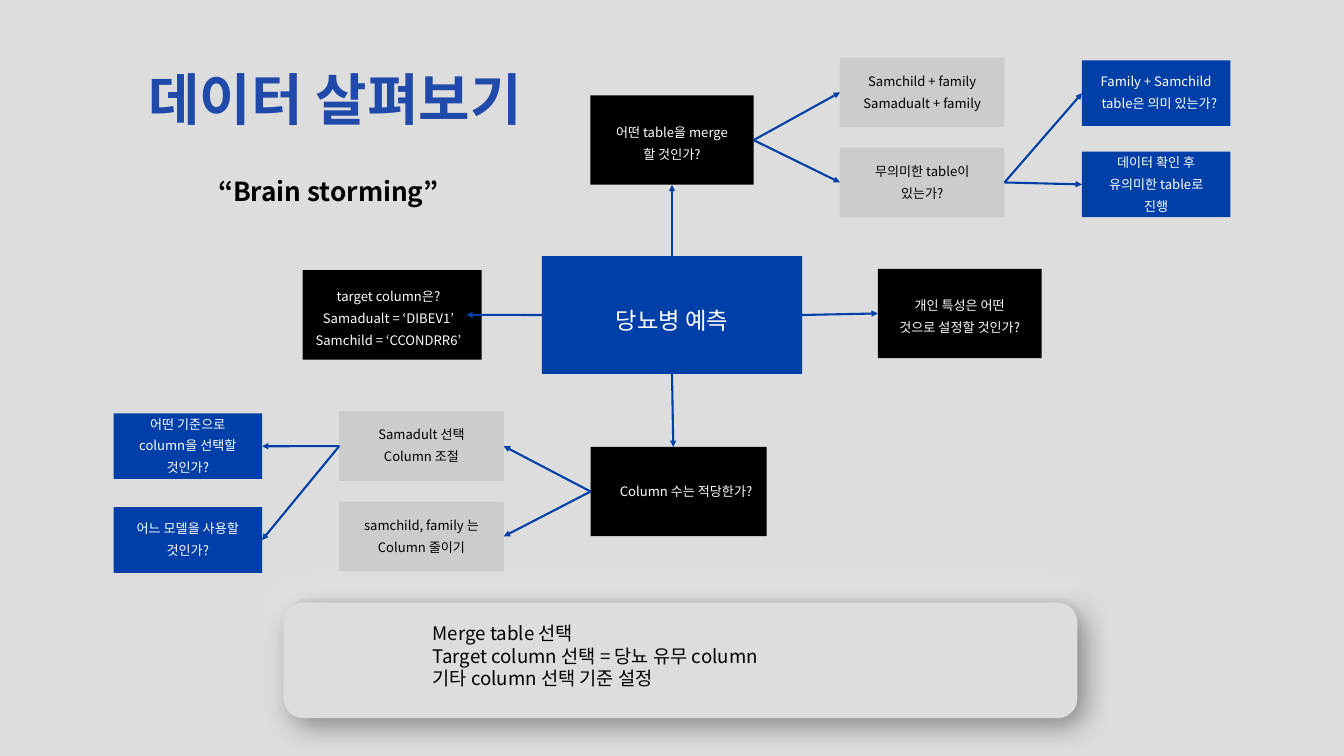
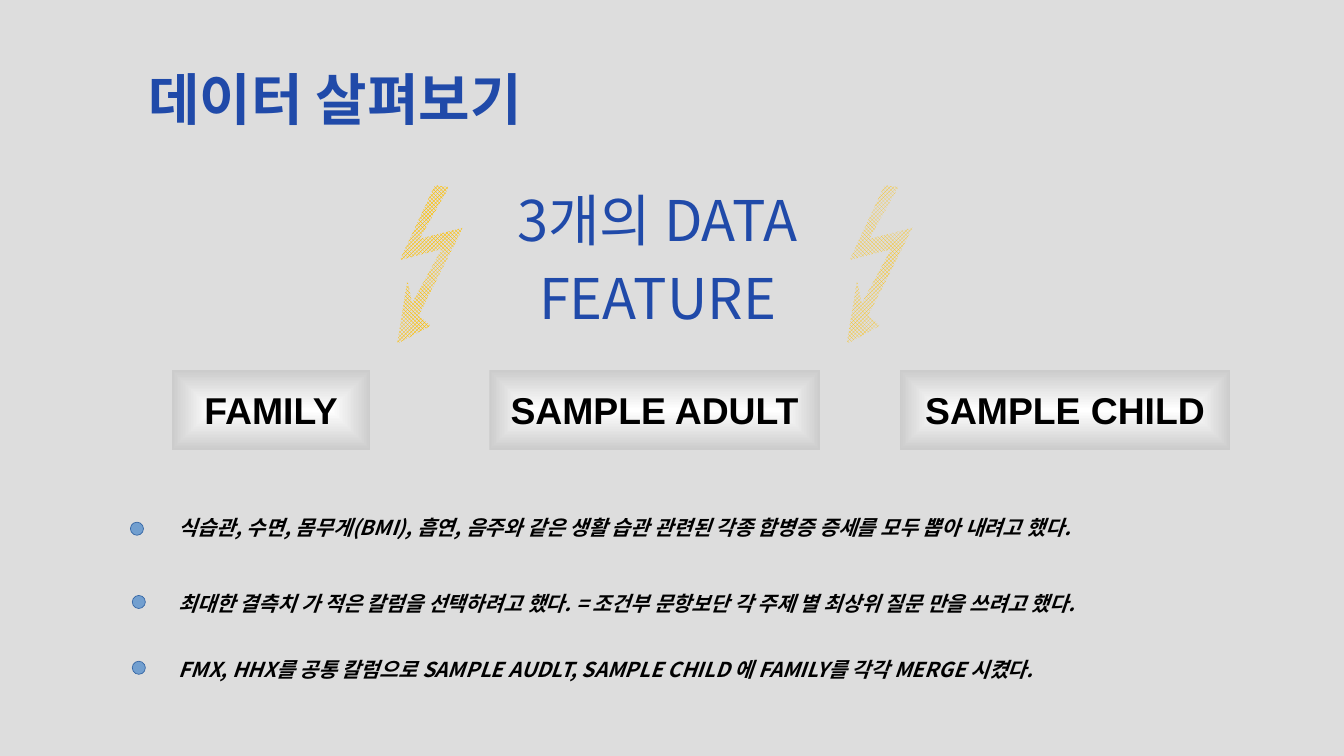
from dataclasses import dataclass
from typing import Optional

import lxml.etree
import pptx
import pptx.dml.color
import pptx.enum.dml
import pptx.enum.shapes
import pptx.enum.text
import pptx.oxml.ns
import pptx.util

Pt = pptx.util.Pt
qn = pptx.oxml.ns.qn
Align = pptx.enum.text.PP_ALIGN
Anchor = pptx.enum.text.MSO_ANCHOR
Preset = pptx.enum.shapes.MSO_SHAPE

COLORS = {
    "page": "DDDDDD", "title": "204AA9", "blue": "003EA8", "black": "000000",
    "white": "FFFFFF", "gray": "CCCCCC", "bolt": "FFBF00",
    "dot": "729FCF", "dot_edge": "3465A4",
}
FONT = "Noto Sans CJK KR"
TITLE = "데이터 살펴보기 "
NO_PADS = (0, 0, 0, 0)
TEXT_PADS = (7.2, 3.6, 7.2, 3.6)
BOX_PADS = (20, 20, 20, 20)
LIFTED_PADS = (20, 20, 20, 27.75)
TOP, LEFT, BOTTOM, RIGHT = range(4)


@dataclass(frozen=True)
class Style:
    fill: str
    ink: str
    height: float
    pads: tuple = BOX_PADS
    size: float = 14
    font: str = FONT


@dataclass(frozen=True)
class Node:
    name: str
    style: Style
    left: float
    top: float
    width: float
    text: str
    pads: Optional[tuple] = None


@dataclass(frozen=True)
class Link:
    start: str
    start_side: int
    end: str
    end_side: int
    shift: float = 0


@dataclass(frozen=True)
class Feature:
    left: float
    width: float
    text: str


@dataclass(frozen=True)
class Finding:
    dot_left: float
    dot_top: float
    text_top: float
    text: str


HUB = Style("blue", "white", 126, size=25, font="Calibri")
QUESTION = Style("black", "white", 95.75)
ANSWER = Style("gray", "black", 74.5, LIFTED_PADS)
OUTCOME = Style("blue", "white", 70.25, LIFTED_PADS)

NODES = [
    Node("hub", HUB, 580.5, 274.5, 279, "당뇨병 예측"),
    Node("traits", QUESTION, 940.5, 288, 175.5, "개인 특성은 어떤 것으로 설정할 것인가?"),
    Node("columns", QUESTION, 632.75, 478.75, 188.75, "Column 수는 적당한가?",
         pads=(19, 20, 3, 27)),
    Node("merge", QUESTION, 632.5, 102.25, 175, "어떤 table을 merge 할 것인가?"),
    Node("target", QUESTION, 324.25, 289.5, 191.75,
         "target column은?\nSamadualt = ‘DIBEV1’\nSamchild = ‘CCONDRR6’",
         pads=(12.25, 20, 20, 20)),
    Node("pairs", ANSWER, 900, 61.75, 176.25, "Samchild + family\nSamadualt + family"),
    Node("useless", ANSWER, 900, 158.25, 176.25, "무의미한 table이 있는가?"),
    Node("proceed", OUTCOME, 1159.25, 162.5, 159, "데이터 확인 후\v유의미한 table로 진행"),
    Node("meaning", OUTCOME, 1159.25, 64.75, 159, "Family + Samchild table은 의미 있는가?"),
    Node("model", OUTCOME, 121.75, 543.5, 159, "어느 모델을 사용할 것인가?"),
    Node("criteria", OUTCOME, 121.75, 443, 159, "어떤 기준으로 column을 선택할 것인가?"),
    Node("adjust", ANSWER, 363.5, 440.75, 176.25, "Samadult 선택\nColumn 조절"),
    Node("reduce", ANSWER, 363.5, 537.5, 176.25, "samchild, family 는\nColumn 줄이기"),
]
LINKS = [
    Link("hub", RIGHT, "traits", LEFT),
    Link("hub", LEFT, "target", RIGHT, shift=-16.25),
    Link("hub", TOP, "merge", BOTTOM),
    Link("hub", BOTTOM, "columns", TOP, shift=-5.75),
    Link("merge", RIGHT, "pairs", LEFT),
    Link("merge", RIGHT, "useless", LEFT),
    Link("useless", RIGHT, "proceed", LEFT),
    Link("useless", RIGHT, "meaning", LEFT),
    Link("adjust", LEFT, "model", RIGHT),
    Link("adjust", LEFT, "criteria", RIGHT),
    Link("columns", LEFT, "adjust", RIGHT),
    Link("columns", LEFT, "reduce", RIGHT),
]
FEATURES = [
    Feature(184.25, 212.5, "FAMILY"),
    Feature(524.25, 354.25, "SAMPLE ADULT"),
    Feature(964, 354.25, "SAMPLE CHILD"),
]
FINDINGS = [
    Finding(139.75, 559.5, 548,
            "식습관, 수면, 몸무게(BMI), 흡연, 음주와 같은 생활 습관 관련된 "
            "각종 합병증 증세를 모두 뽑아 내려고 했다."),
    Finding(141.75, 638, 630,
            "최대한 결측치 가 적은 칼럼을 선택하려고 했다. = 조건부 문항보단 "
            "각 주제 별 최상위 질문 만을 쓰려고 했다."),
    Finding(141.75, 708.5, 700.5,
            "FMX, HHX를 공통 칼럼으로 SAMPLE AUDLT, SAMPLE CHILD 에 "
            "FAMILY를 각각 MERGE 시켰다."),
]
BOLT_OUTLINE = [
    (70.5, 45.5), (24, 57.5), (55.5, 2), (40.5, 0), (3, 80), (47.5, 68.5),
    (16, 126.5), (11, 102), (0, 170), (36, 150.5), (23, 140),
]
BOLT_TOP = 198.5
BOLT_LEFTS = [425.5, 907.25, 425.5]


def rgb(name: str):
    return pptx.dml.color.RGBColor.from_string(COLORS[name])


def write_text(shape, text: str, *, size: float, color: str = "black",
               font: str = FONT, bold: bool = False, italic: bool = False,
               align=Align.LEFT, spacing=None, anchor=Anchor.TOP,
               pads: tuple = TEXT_PADS, wrap: bool = True) -> None:
    """Fill a shape: \\n starts a paragraph, \\v breaks a line inside one."""
    frame = shape.text_frame
    frame.auto_size = pptx.enum.text.MSO_AUTO_SIZE.NONE
    frame.word_wrap = wrap
    frame.vertical_anchor = anchor
    (frame.margin_left, frame.margin_top,
     frame.margin_right, frame.margin_bottom) = map(Pt, pads)
    for index, block in enumerate(text.split("\n")):
        para = frame.add_paragraph() if index else frame.paragraphs[0]
        para.alignment = align
        if spacing is not None:
            para.line_spacing = spacing
        for number, piece in enumerate(block.split("\v")):
            if number:
                para.add_line_break()
            span = para.add_run()
            span.text = piece
            span.font.size = Pt(size)
            span.font.bold = bold
            span.font.italic = italic
            span.font.color.rgb = rgb(color)
            span.font.name = font
            lxml.etree.SubElement(span.font._element, qn("a:ea"), typeface=FONT)


def add_preset(page, preset, left: float, top: float, width: float,
               height: float, fill: str):
    shape = page.shapes.add_shape(preset, Pt(left), Pt(top), Pt(width), Pt(height))
    shape.shadow.inherit = False
    shape.fill.solid()
    shape.fill.fore_color.rgb = rgb(fill)
    shape.line.fill.background()
    return shape


def add_text(page, left: float, top: float, width: float, height: float,
             text: str, **text_format) -> None:
    box = page.shapes.add_textbox(Pt(left), Pt(top), Pt(width), Pt(height))
    write_text(box, text, **text_format)


def add_titled_page(deck):
    page = deck.slides.add_slide(deck.slide_layouts[5])
    title = page.shapes.title
    title.left, title.top, title.width, title.height = map(Pt, (65.5, 29.5, 600.5, 112))
    write_text(title, TITLE, size=60, color="title", bold=True,
               align=Align.CENTER, spacing=Pt(112), pads=NO_PADS)
    return page


def add_node(page, node: Node):
    style = node.style
    box = add_preset(page, Preset.RECTANGLE, node.left, node.top, node.width,
                     style.height, style.fill)
    write_text(box, node.text, size=style.size, color=style.ink, font=style.font,
               align=Align.CENTER, spacing=1.4, anchor=Anchor.MIDDLE,
               pads=node.pads or style.pads)
    return box


def side_point(box, side: int) -> tuple:
    """Return the middle of one side of a box."""
    if side in (TOP, BOTTOM):
        return box.left + box.width // 2, box.top + (box.height if side == BOTTOM else 0)
    return box.left + (box.width if side == RIGHT else 0), box.top + box.height // 2


def add_link(page, boxes: dict, link: Link) -> None:
    """Join two boxes; a shifted end is left free of its box."""
    start, end = boxes[link.start], boxes[link.end]
    end_x, end_y = side_point(end, link.end_side)
    arrow = page.shapes.add_connector(
        pptx.enum.shapes.MSO_CONNECTOR.STRAIGHT,
        *side_point(start, link.start_side), end_x + Pt(link.shift), end_y)
    arrow.begin_connect(start, link.start_side)
    if not link.shift:
        arrow.end_connect(end, link.end_side)
    arrow.line.color.rgb = rgb("blue")
    arrow.line.width = Pt(2.25)
    props = arrow.element.spPr
    lxml.etree.SubElement(props.find(qn("a:ln")), qn("a:tailEnd"), type="triangle")
    lxml.etree.SubElement(props, qn("a:effectLst"))


def add_summary_panel(page, left: float, top: float, shade: str, angle: int) -> None:
    panel = add_preset(page, Preset.ROUNDED_RECTANGLE, left, top, 850.25, 123.75, "page")
    panel.adjustments[0] = 0.17
    effects = panel.element.spPr.find(qn("a:effectLst"))
    shadow = lxml.etree.SubElement(
        effects, qn("a:outerShdw"), blurRad=str(Pt(30)), dist=str(Pt(10)),
        dir=str(angle * 60000), algn="ctr", rotWithShape="0")
    tint = lxml.etree.SubElement(shadow, qn("a:srgbClr"), val=COLORS[shade])
    lxml.etree.SubElement(tint, qn("a:alpha"), val="40000")


def add_bolt(page, left: float) -> None:
    points = [(Pt(left + x), Pt(BOLT_TOP + y)) for x, y in BOLT_OUTLINE]
    builder = page.shapes.build_freeform(*points[0], scale=1)
    builder.add_line_segments(points[1:], close=True)
    bolt = builder.convert_to_shape()
    bolt.shadow.inherit = False
    bolt.line.fill.background()
    bolt.fill.patterned()
    bolt.fill.pattern = pptx.enum.dml.MSO_PATTERN.OUTLINED_DIAMOND
    bolt.fill.fore_color.rgb = rgb("bolt")
    bolt.fill.back_color.rgb = rgb("white")
    ground = bolt.element.spPr.find(".//" + qn("a:bgClr"))[0]
    lxml.etree.SubElement(ground, qn("a:alpha"), val="0")


def add_feature(page, feature: Feature) -> None:
    box = add_preset(page, Preset.RECTANGLE, feature.left, 396.75, feature.width, 85, "gray")
    box.fill.gradient()
    for stop, color in zip(box.fill.gradient_stops, ("white", "gray")):
        stop.color.rgb = rgb(color)
    gradient = box.element.spPr.find(qn("a:gradFill"))
    linear = gradient.find(qn("a:lin"))
    radial = lxml.etree.Element(qn("a:path"))
    radial.set("path", "rect")
    lxml.etree.SubElement(radial, qn("a:fillToRect"),
                          {side: "50000" for side in "ltrb"})
    gradient.replace(linear, radial)
    write_text(box, feature.text, size=40, font="Arial", bold=True, align=Align.CENTER,
               anchor=Anchor.MIDDLE, pads=NO_PADS, wrap=False)


def add_finding(page, finding: Finding) -> None:
    dot = add_preset(page, Preset.OVAL, finding.dot_left, finding.dot_top, 14, 14, "dot")
    dot.line.color.rgb = rgb("dot_edge")
    dot.line.width = Pt(0)
    add_text(page, 184.25, finding.text_top, 1100, 36, finding.text,
             size=22, bold=True, italic=True)


def build_brainstorm(deck) -> None:
    page = add_titled_page(deck)
    boxes = {node.name: add_node(page, node) for node in NODES}
    for link in LINKS:
        add_link(page, boxes, link)
    add_summary_panel(page, 309, 640.75, "white", 225)
    add_summary_panel(page, 304, 645.75, "black", 45)
    add_text(page, 456.5, 663, 554.5, 79,
             "Merge table 선택\nTarget column 선택 = 당뇨 유무 column\n"
             "기타 column 선택 기준 설정", size=20)
    add_text(page, 226.75, 184.25, 297.25, 57, "“Brain storming”", size=28, bold=True)


def build_features(deck) -> None:
    page = add_titled_page(deck)
    add_text(page, 510.5, 186.5, 388, 168, "3개의 DATA FEATURE", size=60, color="title",
             align=Align.CENTER, spacing=Pt(84), pads=NO_PADS)
    for left in BOLT_LEFTS:
        add_bolt(page, left)
    for feature in FEATURES:
        add_feature(page, feature)
    for finding in FINDINGS:
        add_finding(page, finding)


def main() -> None:
    deck = pptx.Presentation()
    deck.slide_width, deck.slide_height = Pt(1440), Pt(810)
    backdrop = deck.slide_master.background.fill
    backdrop.solid()
    backdrop.fore_color.rgb = rgb("page")
    build_brainstorm(deck)
    build_features(deck)
    deck.save("out.pptx")


if __name__ == "__main__":
    main()
